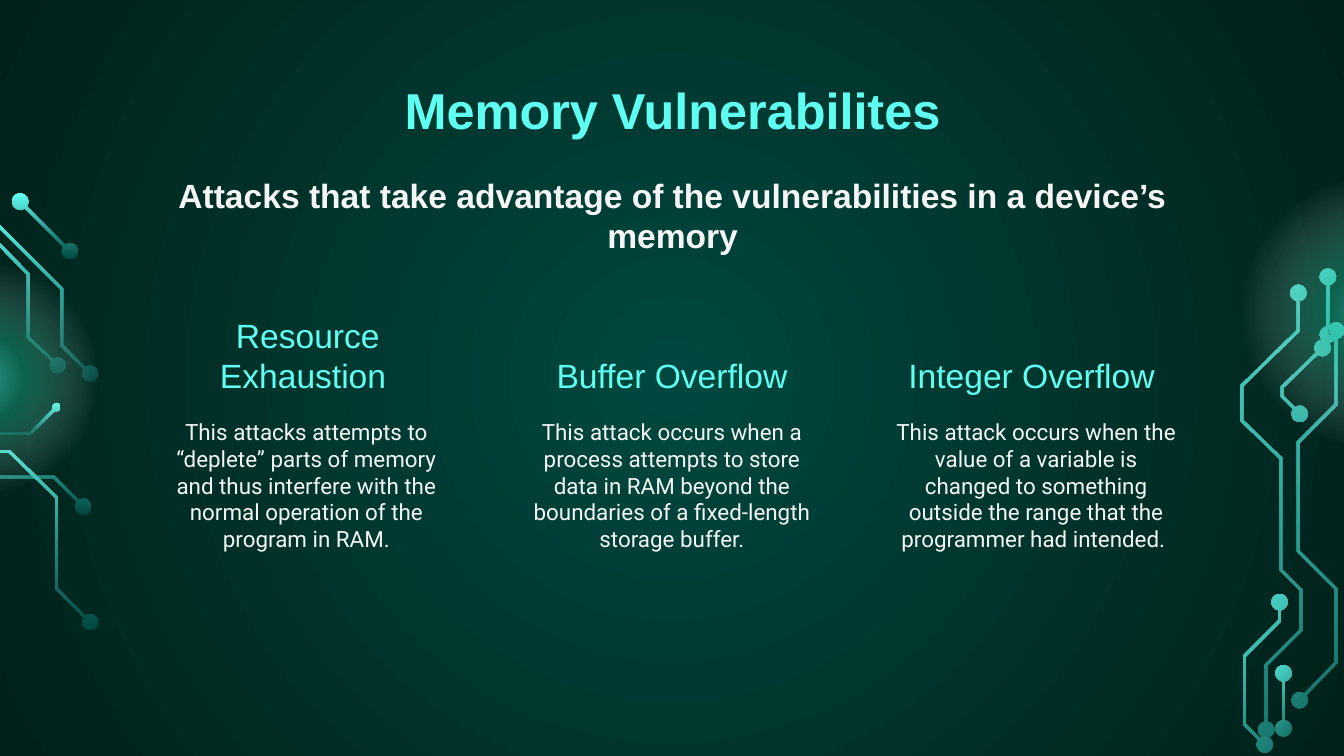
from dataclasses import dataclass
from math import cos, sin, pi, radians, hypot
from typing import NamedTuple

from lxml import etree
from pptx import Presentation
from pptx.dml.color import RGBColor
from pptx.enum.shapes import MSO_SHAPE
from pptx.enum.text import MSO_ANCHOR, PP_ALIGN
from pptx.oxml.ns import qn
from pptx.util import Inches, Pt

COLORS = {"aqua": "5FFFF1", "mint": "21C79D", "teal": "00483F",
          "night": "00211A", "white": "FFFFFF", "text": "F5F5F5"}
TRACE_WIDTH = 0.02
PAD_RADIUS = 0.06


class Stop(NamedTuple):
    position: int
    color: str
    opacity: int = 100


class Branch(NamedTuple):
    route: list
    start_pad: bool = True
    radius: float = PAD_RADIUS


@dataclass
class Trace:
    rotation: int
    branches: list


@dataclass
class Attack:
    name: str
    description: str
    heading_left: float
    heading_width: float
    left: float


BACKDROP = [Stop(0, "teal"), Stop(100, "night")]
TRACE_FADE = [Stop(0, "teal"), Stop(100, "aqua")]
GLOW_FADE = [Stop(0, "aqua", 55), Stop(23, "mint", 37),
             Stop(62, "white", 0), Stop(100, "white", 0)]

LEFT_TRACES = [
    Trace(180, [Branch([(-0.81, 3.02), (-0.81, 3.15), (-0.41, 3.55), (0.4, 3.55),
                        (0.62, 3.77)], False)]),
    Trace(180, [Branch([(-0.52, 1.55), (-0.14, 1.55), (0.46, 2.15), (0.46, 2.57),
                        (0.67, 2.78)])]),
    Trace(180, [Branch([(-1.06, 3.01), (-1.06, 3.05), (-0.75, 3.36), (0.07, 3.36),
                        (0.42, 3.7), (0.42, 4.38), (0.67, 4.63)], False)]),
    Trace(180, [Branch([(-0.2, 1.62), (0.21, 2.04), (0.21, 2.51), (0.43, 2.72)])]),
    Trace(180, [Branch([(-0.57, 3.13), (-0.47, 3.23), (0.22, 3.23), (0.42, 3.03)],
                       False, 0.03)]),
    Trace(180, [Branch([(0.15, 1.5), (0.52, 1.87)])]),
]
RIGHT_TRACES = [
    Trace(135, [
        Branch([(9.67, 5.21), (9.94, 4.93), (9.94, 4.38), (9.66, 4.1), (9.66, 3.29),
                (9.94, 3.01), (9.94, 2.46)]),
        Branch([(9.84, 2.59), (9.54, 2.88), (9.54, 2.95), (9.67, 3.08)]),
        Branch([(9.88, 2.06), (9.88, 2.49)])]),
    Trace(135, [Branch([(9.42, 5.43), (9.42, 4.95), (9.68, 4.69), (9.68, 4.39),
                        (9.53, 4.24), (9.53, 3.41), (9.24, 3.13), (9.24, 2.87),
                        (9.66, 2.46), (9.66, 2.18)])]),
]
CORNER_TRACES = [
    Trace(135, [Branch([(9.55, 5.42), (9.55, 5.01)])]),
    Trace(135, [Branch([(9.41, 5.54), (9.26, 5.39), (9.26, 4.88), (9.52, 4.62),
                        (9.52, 4.48)])]),
]
ATTACKS = [
    Attack("Resource Exhaustion ",
           "This attacks attempts to “deplete” parts of memory and thus interfere "
           "with the normal operation of the program in RAM.", 1.02, 2.54, 1.09),
    Attack("Buffer Overflow",
           "This attack occurs when a process attempts to store data in RAM beyond "
           "the boundaries of a fixed-length storage buffer.", 3.81, 2.38, 3.81),
    Attack("Integer Overflow ",
           "This attack occurs when the value of a variable is changed to something "
           "outside the range that the programmer had intended. ", 6.52, 2.38, 6.52),
]


def paint_gradient(fill, owner, stops: list, circular: bool = False) -> None:
    """Fill with colour stops, running downwards or out from the middle."""
    fill.gradient()
    gradient = next(owner.iter(qn("a:gradFill")))
    for child in list(gradient):
        gradient.remove(child)
    stop_list = etree.SubElement(gradient, qn("a:gsLst"))
    for stop in stops:
        entry = etree.SubElement(stop_list, qn("a:gs"), pos=str(stop.position * 1000))
        color = etree.SubElement(entry, qn("a:srgbClr"), val=COLORS[stop.color])
        if stop.opacity < 100:
            etree.SubElement(color, qn("a:alpha"), val=str(stop.opacity * 1000))
    if circular:
        center = etree.SubElement(gradient, qn("a:path"), path="circle")
        etree.SubElement(center, qn("a:fillToRect"),
                         **{side: "50000" for side in "ltrb"})
    else:
        etree.SubElement(gradient, qn("a:lin"), ang="5400000", scaled="0")


def turn(x: float, y: float, degrees: float) -> tuple:
    a = radians(degrees)
    return x * cos(a) - y * sin(a), x * sin(a) + y * cos(a)


def toward(start: tuple, end: tuple, distance: float) -> tuple:
    share = distance / hypot(end[0] - start[0], end[1] - start[1])
    return tuple(s + (e - s) * share for s, e in zip(start, end))


def band(route: list) -> list:
    """Outline a route with mitred corners."""
    normals = []
    for (x0, y0), (x1, y1) in zip(route, route[1:]):
        length = hypot(x1 - x0, y1 - y0)
        normals.append(((y0 - y1) / length, (x1 - x0) / length))
    near, far = [], []
    for (x, y), a, b in zip(route, normals[:1] + normals, normals + normals[-1:]):
        scale = TRACE_WIDTH / 2 / (1 + a[0] * b[0] + a[1] * b[1])
        dx, dy = (a[0] + b[0]) * scale, (a[1] + b[1]) * scale
        near.append((x + dx, y + dy))
        far.append((x - dx, y - dy))
    return near + far[::-1]


def trace_contours(trace: Trace) -> list:
    contours, pads = [], []
    for route, start_pad, radius in trace.branches:
        line = list(route)
        line[-1] = toward(route[-1], route[-2], radius)
        if start_pad:
            line[0] = toward(route[0], route[1], radius)
        contours.append(band(line))
        for center in ([route[0]] if start_pad else []) + [route[-1]]:
            ring = [(center[0] + radius * cos(k * pi / 16),
                     center[1] + radius * sin(k * pi / 16)) for k in range(32)]
            # Overlaps would become holes, so pads only touch each other
            for other, reach in pads:
                ring = [toward(other, p, reach)
                        if hypot(p[0] - other[0], p[1] - other[1]) < reach else p
                        for p in ring]
            pads.append((center, radius))
            contours.append(ring)
    return contours


def draw_trace(slide, trace: Trace) -> None:
    contours = [[tuple(Inches(v) for v in turn(x, y, -trace.rotation))
                 for x, y in contour] for contour in trace_contours(trace)]
    builder = slide.shapes.build_freeform(*contours[0][0], scale=1.0)
    builder.add_line_segments(contours[0][1:], close=True)
    for contour in contours[1:]:
        builder.move_to(*contour[0])
        builder.add_line_segments(contour[1:], close=True)
    circuit = builder.convert_to_shape()
    x, y = turn(circuit.left + circuit.width / 2, circuit.top + circuit.height / 2,
                trace.rotation)
    circuit.left, circuit.top = int(x - circuit.width / 2), int(y - circuit.height / 2)
    circuit.rotation = trace.rotation
    circuit.shadow.inherit = False
    circuit.line.fill.background()
    paint_gradient(circuit.fill, circuit._element, TRACE_FADE)


def draw_glow(slide, left: float, top: float, size: float) -> None:
    glow = slide.shapes.add_shape(MSO_SHAPE.OVAL, Inches(left), Inches(top),
                                  Inches(size), Inches(size))
    glow.shadow.inherit = False
    glow.line.fill.background()
    paint_gradient(glow.fill, glow._element, GLOW_FADE, circular=True)


def add_text(slide, text: str, left: float, top: float, width: float, height: float, *,
             size: float, color: str, font: str = "Arial", bold: bool = False,
             anchor=MSO_ANCHOR.TOP) -> None:
    frame = slide.shapes.add_textbox(Inches(left), Inches(top), Inches(width),
                                     Inches(height)).text_frame
    frame.word_wrap = True
    frame.vertical_anchor = anchor
    frame.margin_left = frame.margin_right = Inches(0.1)
    frame.margin_top = frame.margin_bottom = Inches(0.1)
    paragraph = frame.paragraphs[0]
    paragraph.alignment = PP_ALIGN.CENTER
    run = paragraph.add_run()
    run.text = text
    run.font.name, run.font.size, run.font.bold = font, Pt(size), bold
    run.font.color.rgb = RGBColor.from_string(COLORS[color])


def main() -> None:
    deck = Presentation()
    # Widescreen, 16:9
    deck.slide_width, deck.slide_height = Inches(10), Inches(10 * 9 / 16)
    slide = deck.slides.add_slide(deck.slide_layouts[6])
    paint_gradient(slide.background.fill, slide._element, BACKDROP, circular=True)

    # Circuit decoration at both edges
    for trace in LEFT_TRACES + RIGHT_TRACES:
        draw_trace(slide, trace)
    draw_glow(slide, -1.12, 1.83, 1.97)
    draw_glow(slide, 9.09, 1.15, 2.34)

    # Three attack columns
    for attack in ATTACKS:
        add_text(slide, attack.name, attack.heading_left, 2.19, attack.heading_width,
                 0.85, size=18, color="aqua", anchor=MSO_ANCHOR.BOTTOM)
    # Title, then the descriptions under the headings
    add_text(slide, "Memory Vulnerabilites", 0.79, 0.49, 8.43, 0.63,
             size=27, color="aqua", bold=True)
    for attack in ATTACKS:
        add_text(slide, attack.description, attack.left, 3.01, 2.38, 2.06,
                 size=12, color="text", font="Roboto")

    # Corner traces and definition
    for trace in CORNER_TRACES:
        draw_trace(slide, trace)
    add_text(slide, "Attacks that take advantage of the vulnerabilities in a device’s memory",
             0.79, 1.2, 8.43, 0.63, size=18, color="text", bold=True)
    deck.save("out.pptx")


if __name__ == "__main__":
    main()
